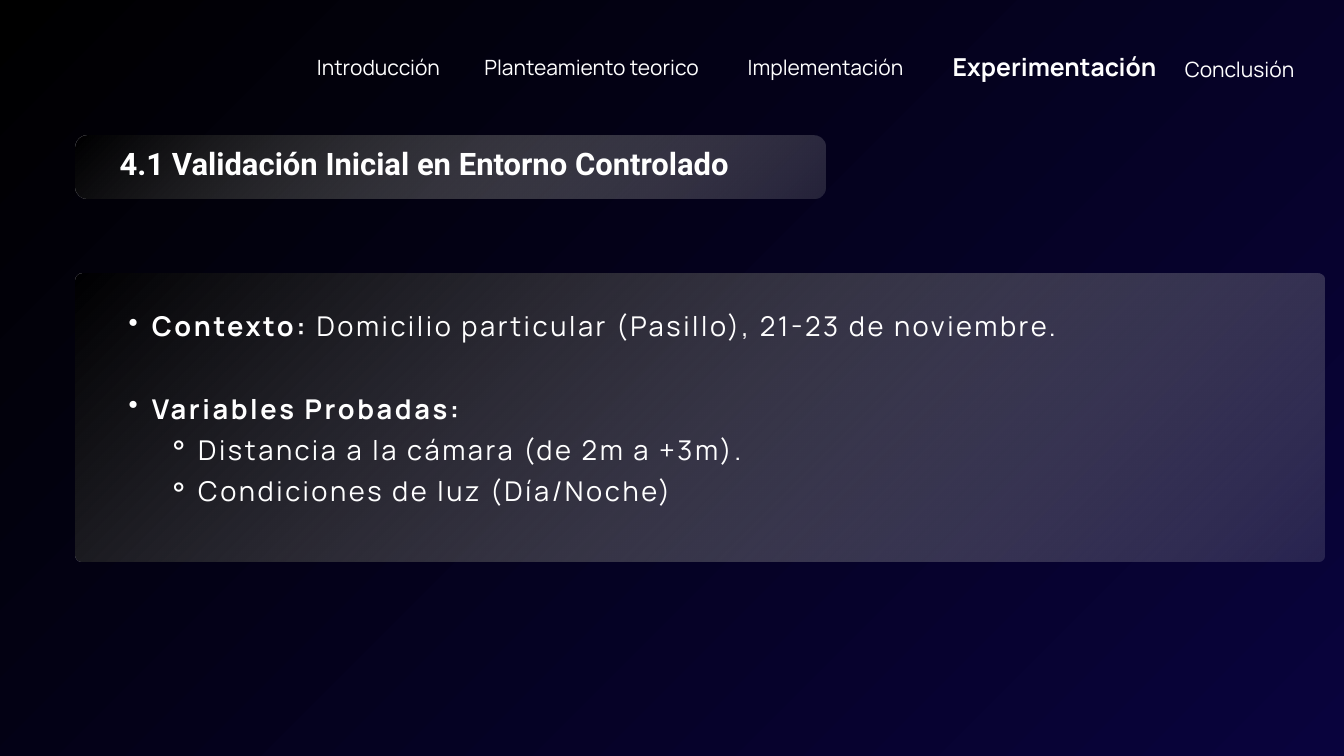
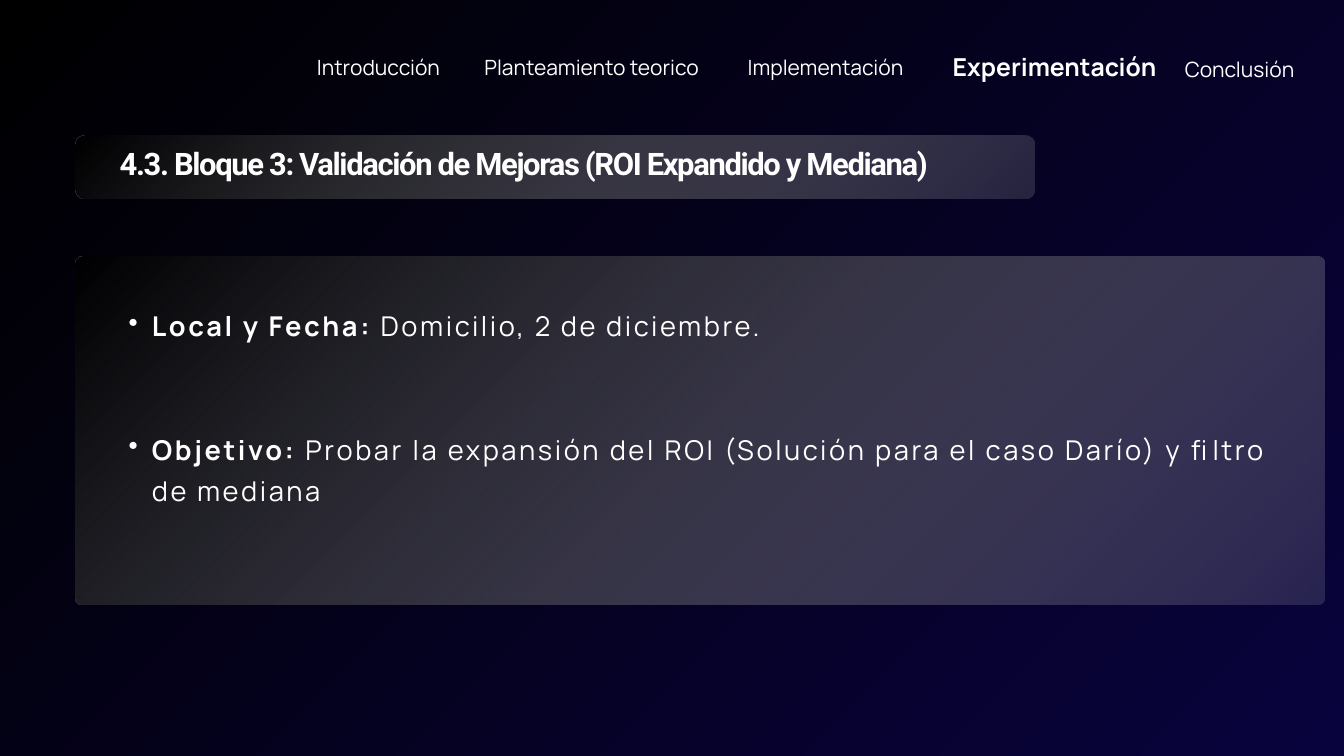
from pptx import Presentation
from pptx.dml.color import RGBColor
from pptx.enum.shapes import MSO_SHAPE
from pptx.enum.text import MSO_AUTO_SIZE, PP_ALIGN
from pptx.oxml import parse_xml
from pptx.oxml.ns import nsdecls, qn
from pptx.util import Pt

LEFT, MID, RIGHT, JUST = PP_ALIGN.LEFT, PP_ALIGN.CENTER, PP_ALIGN.RIGHT, PP_ALIGN.JUSTIFY
ROUND = MSO_SHAPE.ROUNDED_RECTANGLE
GROW = MSO_AUTO_SIZE.SHAPE_TO_FIT_TEXT

COLORS = {"text": "FFFFFF", "dark": "000000", "navy": "09033D", "glass": "DDDDDD"}
SANS, HEAD = "Manrope", "Roboto"
EDGE = 81        # left edge of all panels
LINE = 44.1      # line height of the body
RATIO = 1.4      # line height of the menu against its size

# Content: menu as (text, left, middle, width, align, size, bold)
MENU = [
    ("Introducción", 246.2, 69.5, 225.4, RIGHT, 22.5, False),
    ("Planteamiento teorico", 475.2, 69.5, 317.5, MID, 22.5, False),
    ("Implementación", 767.5, 69.5, 234, MID, 22.5, False),
    ("Experimentación", 1005.1, 69.1, 234, RIGHT, 26.5, True),
    ("Conclusión", 1179.4, 71.6, 207.4, RIGHT, 22.5, False),
]

# Body items: (level, blank lines above, bold part, plain part)
SLIDES = [
    {
        "title": "4.1 Validación Inicial en Entorno Controlado",
        "space": 0, "band": 803.7, "round": 12.8, "width": 785.5,
        "panel": (293, 309),
        "body": [
            (1, 0, "Contexto: ", "Domicilio particular (Pasillo), 21-23 de noviembre."),
            (1, 1, "Variables Probadas:", ""),
            (2, 0, "", "Distancia a la cámara (de 2m a +3m)."),
            (2, 0, "", "Condiciones de luz (Día/Noche)"),
        ],
    },
    {
        "title": "4.3. Bloque 3: Validación de Mejoras (ROI Expandido y Mediana)",
        "space": -1.5, "band": 1027.6, "round": 10, "width": 1051.2,
        "panel": (274.8, 372.4),
        "body": [
            (1, 0, "Local y Fecha:", " Domicilio, 2 de diciembre."),
            (1, 2, "Objetivo:", " Probar la expansión del ROI (Solución para el caso"
                                " Darío) y filtro de mediana"),
        ],
    },
]
BULLETS = {1: ("•", 49.7, 24.8), 2: ("⚬", 99.4, 33.1)}  # sign, margin, hang


def blend(stops, shade):
    """Gradient fill from (color, opacity) pairs and its direction."""
    marks = "".join(
        f'<a:gs pos="{pos}"><a:srgbClr val="{COLORS[name]}">'
        f'<a:alpha val="{alpha * 1000}"/></a:srgbClr></a:gs>'
        for pos, (name, alpha) in zip((0, 100000), stops))
    return parse_xml(f'<a:gradFill rotWithShape="1" {nsdecls("a")}>'
                     f'<a:gsLst>{marks}</a:gsLst>{shade}</a:gradFill>')


def swap_fill(owner, fill):
    solid = owner.find(qn("a:solidFill"))
    owner.replace(solid, fill)


def paint_back(slide):
    slide.background.fill.solid()
    focus = ('<a:path path="circle"><a:fillToRect l="0" t="0" r="100000" b="100000"/>'
             '</a:path>')
    swap_fill(slide.element.find(".//" + qn("p:bgPr")),
              blend([("dark", 100), ("navy", 100)], focus))


def add_panel(slide, top, width, height, radius):
    panel = slide.shapes.add_shape(ROUND, Pt(EDGE), Pt(top), Pt(width), Pt(height))
    panel.adjustments[0] = radius / min(width, height)
    panel.shadow.inherit = False
    panel.line.fill.background()
    panel.fill.solid()
    swap_fill(panel.element.spPr,
              blend([("dark", 78), ("glass", 15)], '<a:lin ang="2700000"/>'))


def add_box(slide, left, top, width, height):
    box = slide.shapes.add_textbox(Pt(left), Pt(top), Pt(width), Pt(height))
    frame = box.text_frame
    frame.margin_left = frame.margin_top = frame.margin_right = frame.margin_bottom = 0
    frame.word_wrap = True
    frame.auto_size = GROW
    return frame


def set_par(par, align, line):
    par.alignment = align
    par.line_spacing = Pt(line)


def add_run(par, text, font, size, bold, space=0):
    run = par.add_run()
    run.text = text
    run.font.name = font
    run.font.size = Pt(size)
    run.font.bold = bold
    run.font.color.rgb = RGBColor.from_string(COLORS["text"])
    if space:
        run.font._element.set("spc", str(round(space * 100)))


def add_menu(slide):
    for text, left, middle, width, align, size, bold in MENU:
        line = size * RATIO
        par = add_box(slide, left, middle - line / 2, width, line).paragraphs[0]
        set_par(par, align, line)
        add_run(par, text, SANS, size, bold)


def add_title(slide, data):
    add_panel(slide, 145.4, data["band"], 67.7, data["round"])
    par = add_box(slide, 128.2, 161.3, data["width"], 38).paragraphs[0]
    set_par(par, LEFT, 33.9)
    add_run(par, data["title"], HEAD, 33.2, True, data["space"])


def add_body(slide, data):
    top, height = data["panel"]
    add_panel(slide, top, 1337.7, height, 7.6)
    frame = add_box(slide, 113, 322.6, 1245.6, 260.6)
    for i, (level, gap, strong, plain) in enumerate(data["body"]):
        par = frame.add_paragraph() if i else frame.paragraphs[0]
        sign, margin, hang = BULLETS[level]
        props = par._p.get_or_add_pPr()
        props.set("marL", str(Pt(margin)))
        props.set("indent", str(-Pt(hang)))
        props.append(parse_xml(f'<a:buChar {nsdecls("a")} char="{sign}"/>'))
        par.level = level
        set_par(par, JUST, LINE)
        if gap:
            par.space_before = Pt(gap * LINE)
        for text, bold in ((strong, True), (plain, False)):
            if text:
                add_run(par, text, SANS, 29.2, bold, 2.8)


def main():
    deck = Presentation()
    deck.slide_width, deck.slide_height = Pt(1440), Pt(810)
    blank = deck.slide_layouts[6]
    for data in SLIDES:
        slide = deck.slides.add_slide(blank)
        paint_back(slide)
        add_menu(slide)
        add_title(slide, data)
        add_body(slide, data)
    deck.save("out.pptx")


if __name__ == "__main__":
    main()
